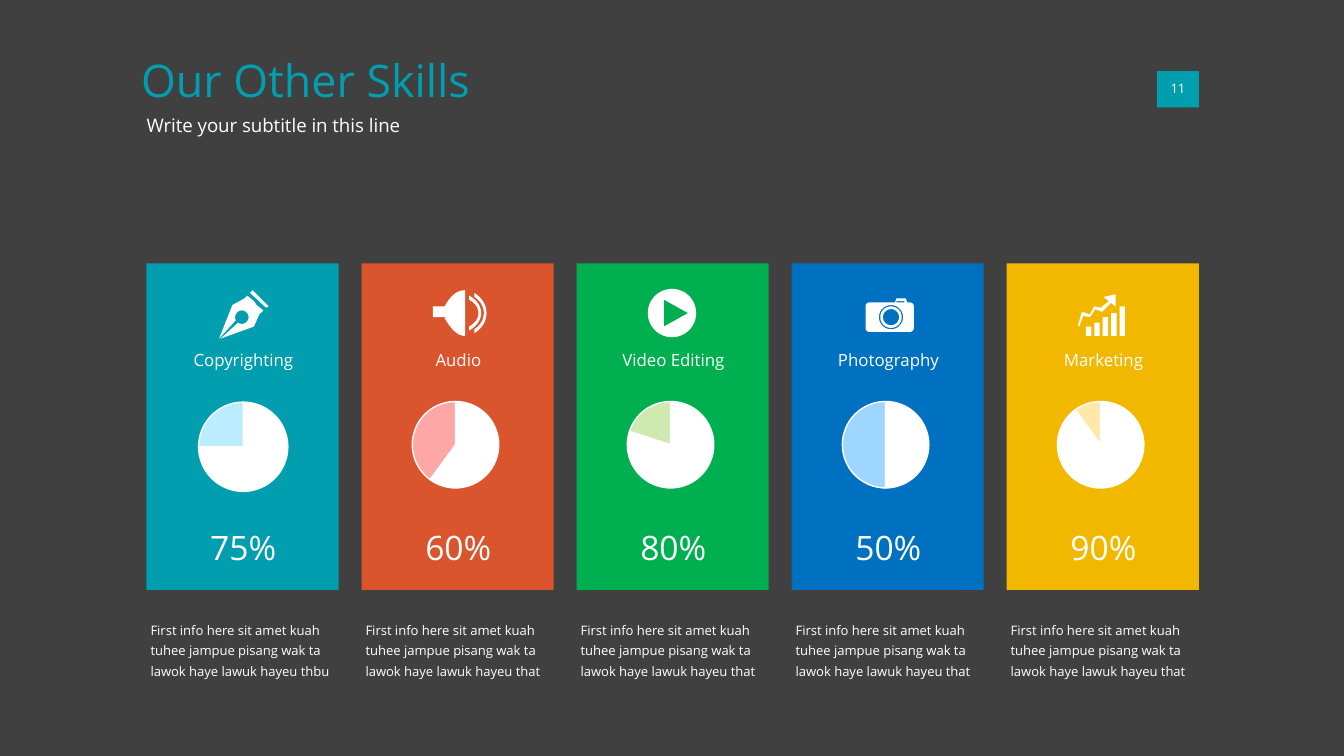
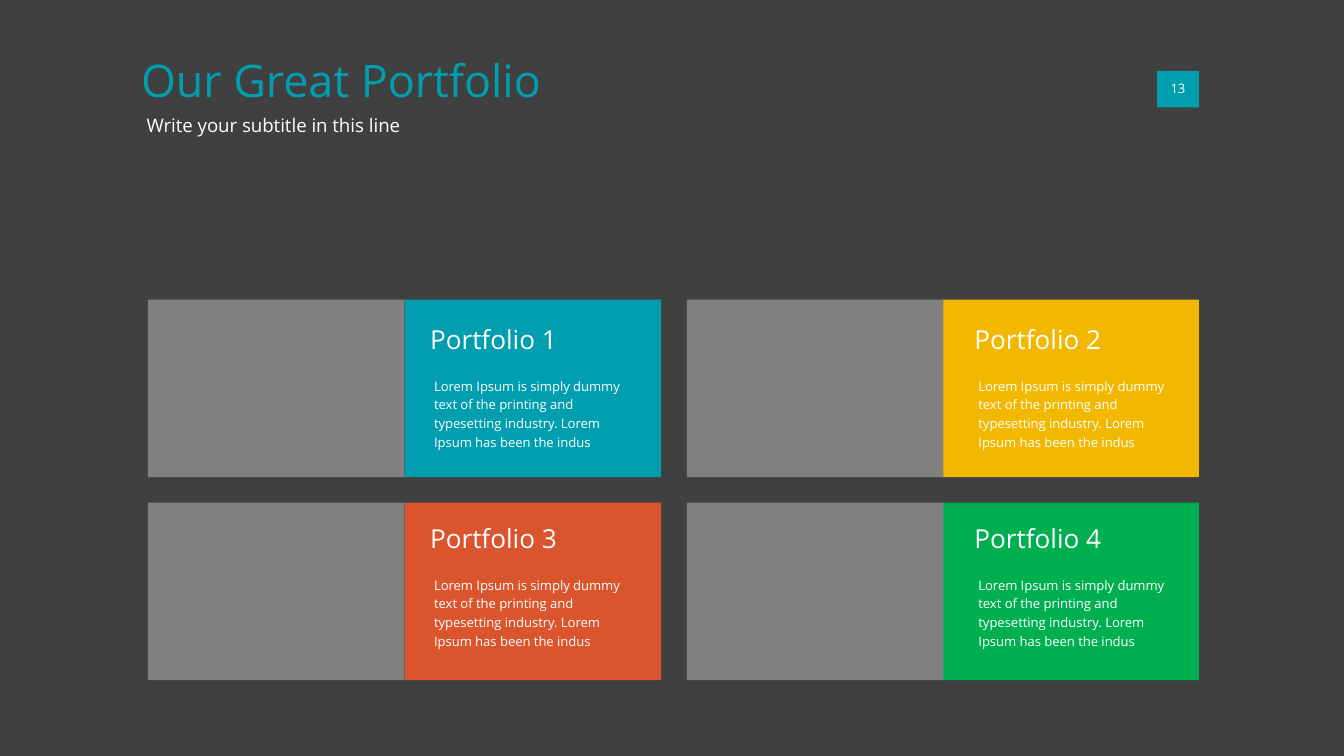
from dataclasses import dataclass
from math import cos, radians, sin
from typing import NamedTuple

from lxml.etree import SubElement
from pptx import Presentation
from pptx.chart.data import CategoryChartData
from pptx.dml.color import RGBColor
from pptx.enum.chart import XL_CHART_TYPE as ChartType
from pptx.enum.shapes import MSO_SHAPE as Preset
from pptx.enum.text import MSO_ANCHOR as Anchor, MSO_AUTO_SIZE as AutoSize, PP_ALIGN as Align
from pptx.oxml.ns import qn
from pptx.util import Inches, Pt

Point = tuple[float, float]
Contour = list[Point]
Outline = list[Contour]


@dataclass(frozen=True)
class Theme:
    font: str = "Open Sans"
    chart_font: str = "Calibri"
    background: str = "404040"
    white: str = "FFFFFF"
    black: str = "000000"
    photo: str = "808080"
    teal: str = "009EAF"
    orange: str = "DA542D"
    green: str = "00B050"
    blue: str = "0070C0"
    yellow: str = "F2B800"
    title: float = 24
    percent: float = 18
    heading: float = 14
    subtitle: float = 10
    label: float = 9
    small: float = 7


THEME = Theme()


class Area(NamedTuple):
    left: float
    top: float
    width: float
    height: float

    def lengths(self) -> list[int]:
        return [Inches(value) for value in self]


@dataclass(frozen=True)
class TextStyle:
    size: float
    color: str = THEME.white
    align: Align = Align.LEFT
    anchor: Anchor = Anchor.TOP
    inset: float = 0
    line_spacing: float = 1.0
    space_before: float = 0
    wrap: bool = True


TITLE = TextStyle(THEME.title, THEME.teal)
SUBTITLE = TextStyle(THEME.subtitle)
NUMBER = TextStyle(THEME.small, align=Align.CENTER, anchor=Anchor.MIDDLE, wrap=False)
LABEL = TextStyle(THEME.label, align=Align.CENTER, inset=0.04)
PERCENT = TextStyle(THEME.percent, align=Align.CENTER, inset=0.02)
INFO = TextStyle(THEME.small, anchor=Anchor.BOTTOM, inset=0.02, line_spacing=1.3, space_before=7.5)
HEADING = TextStyle(THEME.heading)
SUMMARY = TextStyle(THEME.small, line_spacing=1.2)


# Shared drawing
def rgb(color: str) -> RGBColor:
    return RGBColor.from_string(color)


def paint(shape, color: str) -> None:
    shape.shadow.inherit = False
    shape.fill.solid()
    shape.fill.fore_color.rgb = rgb(color)
    shape.line.fill.background()


def add_block(shapes, area: Area, color: str) -> None:
    paint(shapes.add_shape(Preset.RECTANGLE, *area.lengths()), color)


def write(box, text: str, style: TextStyle) -> None:
    frame = box.text_frame
    frame.auto_size = AutoSize.NONE if style.wrap else AutoSize.SHAPE_TO_FIT_TEXT
    frame.word_wrap = style.wrap
    frame.vertical_anchor = style.anchor
    frame.margin_left = frame.margin_right = Inches(style.inset)
    frame.margin_top = frame.margin_bottom = Inches(style.inset)
    para = frame.paragraphs[0]
    para.alignment = style.align
    para.line_spacing = style.line_spacing
    para.space_before = Pt(style.space_before)
    span = para.add_run()
    span.text = text
    span.font.name = THEME.font
    span.font.size = Pt(style.size)
    span.font.color.rgb = rgb(style.color)


def add_text(shapes, area: Area, text: str, style: TextStyle) -> None:
    write(shapes.add_textbox(*area.lengths()), text, style)


def fill_placeholder(box, area: Area, text: str, style: TextStyle) -> None:
    box.left, box.top, box.width, box.height = area.lengths()
    write(box, text, style)


def add_page(deck, title: str, number: int):
    page = deck.slides.add_slide(deck.slide_layouts[0])
    page.background.fill.solid()
    page.background.fill.fore_color.rgb = rgb(THEME.background)
    fill_placeholder(page.shapes.title, Area(1.05, 0.39, 4.76, 0.49), title, TITLE)
    fill_placeholder(page.placeholders[1], Area(1.09, 0.85, 6.91, 0.23),
                     "Write your subtitle in this line", SUBTITLE)
    add_block(page.shapes, Area(8.61, 0.53, 0.31, 0.27), THEME.teal)
    add_text(page.shapes, Area(8.7, 0.6, 0.13, 0.12), str(number), NUMBER)
    return page


# Icon geometry: x from the card's left edge, y from the top of the slide
def arc(x: float, y: float, radius: float, start: float = 0, end: float = 360) -> Contour:
    steps = max(6, round((end - start) / 8))
    angles = [radians(start + (end - start) * i / steps) for i in range(steps + 1)]
    return [(x + radius * cos(a), y + radius * sin(a)) for a in angles]


def curve(a: Point, b: Point, c: Point, d: Point, steps: int = 16) -> Contour:
    def at(t: float, axis: int) -> float:
        s = 1 - t
        return s**3 * a[axis] + 3 * s * s * t * b[axis] + 3 * s * t * t * c[axis] + t**3 * d[axis]
    return [(at(i / steps, 0), at(i / steps, 1)) for i in range(steps + 1)]


def bow(x: float, half: float, depth: float) -> Contour:
    y, reach = 2.33, x + depth / 0.75
    return curve((x, y - half), (reach, y - half / 2), (reach, y + half / 2), (x, y + half))


def wave(x: float, half: float, depth: float) -> Outline:
    return [bow(x, half, depth) + bow(x, half + 0.03, depth + 0.02)[::-1]]


def bar(left: float, top: float, width: float, bottom: float) -> Contour:
    return [(left, top), (left + width, top), (left + width, bottom), (left, bottom)]


PEN = [
    [[(0.82, 2.27), (0.8, 2.24), (0.75, 2.2), (0.73, 2.22), (0.64, 2.27), (0.54, 2.52)]
     + arc(0.71, 2.36, 0.05, 153, 484)
     + [(0.55, 2.52), (0.8, 2.43), (0.84, 2.34), (0.87, 2.31)]],
    [[(0.79, 2.16), (0.91, 2.28), (0.89, 2.29), (0.77, 2.18)]],
]
SPEAKER = [
    [curve((0.77, 2.16), (0.7, 2.16), (0.65, 2.22), (0.62, 2.28))
     + curve((0.62, 2.37), (0.65, 2.42), (0.7, 2.5), (0.77, 2.5))],
    wave(0.84, 0.12, 0.07),
    wave(0.8, 0.1, 0.07),
]
SPEAKER_MAGNET = Area(0.53, 2.28, 0.09, 0.08)
PLAY = [[arc(0.71, 2.33, 0.18), [(0.65, 2.23), (0.83, 2.33), (0.65, 2.43)]]]
CAMERA = [[
    arc(0.58, 2.28, 0.03, 180, 270)
    + [(0.77, 2.25), (0.78, 2.22), (0.85, 2.22), (0.86, 2.25)]
    + arc(0.88, 2.28, 0.03, 270, 360)
    + arc(0.88, 2.44, 0.03, 0, 90)
    + arc(0.58, 2.44, 0.03, 90, 180),
    bar(0.78, 2.24, 0.06, 2.25),
    *[arc(0.74, 2.36, radius) for radius in (0.09, 0.08, 0.06)],
]]
GROWTH = [[
    [(0.66, 2.3), (0.71, 2.32), (0.77, 2.26), (0.77, 2.25), (0.81, 2.28), (0.81, 2.19),
     (0.72, 2.21), (0.76, 2.24), (0.7, 2.29), (0.65, 2.28), (0.62, 2.34), (0.56, 2.32),
     (0.53, 2.42), (0.54, 2.43), (0.57, 2.35), (0.62, 2.36)],
    *[bar(0.59 + 0.25 * i / 4, top, 0.04, 2.5)
      for i, top in enumerate((2.43, 2.4, 2.36, 2.33, 2.28))],
]]


def add_outline(shapes, left: float, outline: Outline) -> None:
    contours = [[(Inches(left + x), Inches(y)) for x, y in contour] for contour in outline]
    builder = shapes.build_freeform(*contours[0][0])
    for i, contour in enumerate(contours):
        if i:
            builder.move_to(*contour[0])
        builder.add_line_segments(contour[1:], close=True)
    paint(builder.convert_to_shape(), THEME.white)


# Skills page
@dataclass(frozen=True)
class Skill:
    name: str
    percent: int
    color: str
    rest_color: str
    icon: list[Outline]
    icon_block: Area | None = None
    last_word: str = "that"
    pie_size: Point = (1.38, 0.92)


SKILLS = [
    Skill("Copyrighting", 75, THEME.teal, "B9EDFF", PEN, last_word="thbu", pie_size=(1.42, 0.95)),
    Skill("Audio", 60, THEME.orange, "FFA7A7", SPEAKER, SPEAKER_MAGNET),
    Skill("Video Editing", 80, THEME.green, "CEEAB0", PLAY),
    Skill("Photography", 50, THEME.blue, "9FD6FF", CAMERA),
    Skill("Marketing", 90, THEME.yellow, "FFE8A9", GROWTH),
]


def add_pie(page, area: Area, skill: Skill) -> None:
    data = CategoryChartData()
    data.categories = ["1", "2"]
    data.add_series("Series 1", (skill.percent, 100 - skill.percent))
    chart = page.shapes.add_chart(ChartType.PIE, *area.lengths(), data).chart
    chart.has_title = chart.has_legend = False
    chart.font.name = THEME.chart_font
    chart.font.size = Pt(THEME.percent)
    chart.font.color.rgb = rgb(THEME.black)
    plot = chart.plots[0]
    plot.vary_by_categories = True
    for i, color in enumerate((THEME.white, skill.rest_color)):
        slice_format = plot.series[0].points[i].format
        slice_format.fill.solid()
        slice_format.fill.fore_color.rgb = rgb(color)
        slice_format.line.color.rgb = rgb(THEME.white)
        slice_format.line.width = Pt(0.75)
    # Centre the pie in its frame
    plot_area = chart.element.find(".//" + qn("c:plotArea"))
    layout = plot_area.find(qn("c:layout"))
    if layout is None:
        layout = SubElement(plot_area, qn("c:layout"))
        plot_area.insert(0, layout)
    manual = SubElement(layout, qn("c:manualLayout"))
    settings = dict(layoutTarget="inner", xMode="edge", yMode="edge", x=0.26, y=0.15, w=0.48, h=0.7)
    for tag, value in settings.items():
        SubElement(manual, qn(f"c:{tag}")).set("val", str(value))


def add_skill(page, left: float, skill: Skill) -> None:
    add_block(page.shapes, Area(left, 1.96, 1.43, 2.43), skill.color)
    group = page.shapes.add_group_shape().shapes
    for outline in skill.icon:
        add_outline(group, left, outline)
    if skill.icon_block:
        block = skill.icon_block
        add_block(group, block._replace(left=left + block.left), THEME.white)
    inner = left + 0.01
    add_text(group, Area(inner, 2.56, 1.42, 0.27), skill.name, LABEL)
    add_pie(page, Area(inner, 2.85, *skill.pie_size), skill)
    add_text(page.shapes, Area(inner, 3.9, 1.42, 0.33), f"{skill.percent}%", PERCENT)
    info = f"First info here sit amet kuah tuhee jampue pisang wak ta lawok haye lawuk hayeu {skill.last_word}"
    add_text(page.shapes, Area(inner, 4.58, 1.42, 0.49), info, INFO)


# Portfolio page
class Column(NamedTuple):
    photo: float
    panel: float
    text: float


class Row(NamedTuple):
    panel: float
    text: float


COLUMNS = [Column(1.1, 3.01, 3.2), Column(5.11, 7.01, 7.25)]
ROWS = [Row(2.23, 2.41), Row(3.74, 3.89)]
PANEL_COLORS = [THEME.teal, THEME.yellow, THEME.orange, THEME.green]
PORTFOLIO_TEXT = ("Lorem Ipsum is simply dummy text of the printing and typesetting industry. "
                  "Lorem Ipsum has been the indus")


def add_portfolio(page, column: Column, row: Row, number: int, color: str) -> None:
    add_block(page.shapes, Area(column.panel, row.panel, 1.91, 1.32), color)
    add_block(page.shapes, Area(column.photo, row.panel, 1.91, 1.32), THEME.photo)
    add_text(page.shapes, Area(column.text, row.text, 1.31, 0.3), f"Portfolio {number}", HEADING)
    add_text(page.shapes, Area(column.text + 0.03, row.text + 0.38, 1.41, 0.56),
             PORTFOLIO_TEXT, SUMMARY)


def main() -> None:
    deck = Presentation()
    deck.slide_width = Inches(10)
    deck.slide_height = deck.slide_width * 9 // 16

    skills_page = add_page(deck, "Our Other Skills", 11)
    for i, skill in enumerate(SKILLS):
        add_skill(skills_page, 1.09 + 1.6 * i, skill)

    portfolio_page = add_page(deck, "Our Great Portfolio", 13)
    cells = [(column, row) for row in ROWS for column in COLUMNS]
    for number, ((column, row), color) in enumerate(zip(cells, PANEL_COLORS), 1):
        add_portfolio(portfolio_page, column, row, number, color)

    deck.save("out.pptx")


if __name__ == "__main__":
    main()
